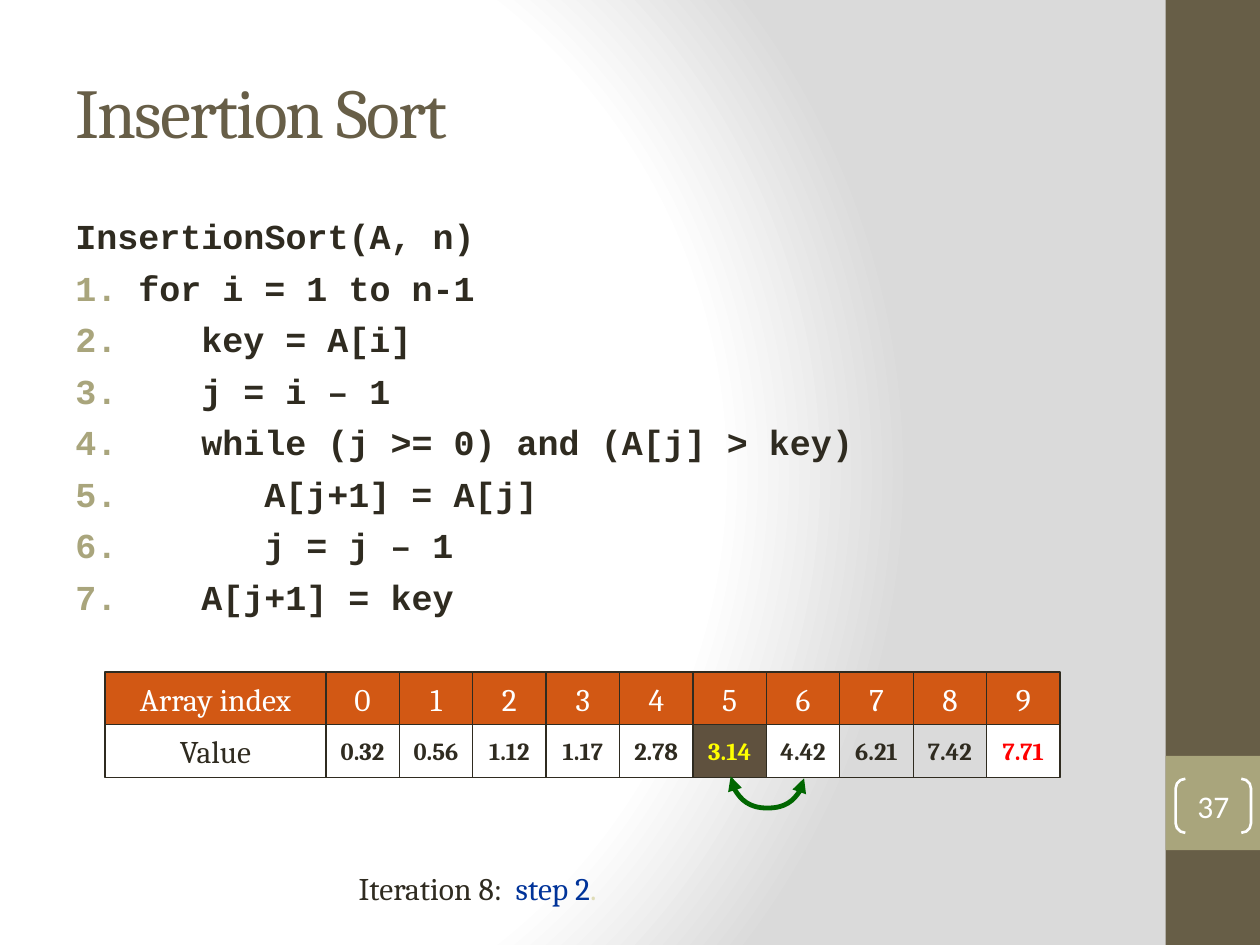
from lxml import etree
from pptx import Presentation
from pptx.dml.color import RGBColor
from pptx.enum.shapes import MSO_CONNECTOR, MSO_SHAPE
from pptx.enum.text import MSO_ANCHOR, PP_ALIGN
from pptx.oxml import parse_xml
from pptx.oxml.ns import nsdecls, qn
from pptx.util import Cm, Pt

RECT, BRACKETS = MSO_SHAPE.RECTANGLE, MSO_SHAPE.DOUBLE_BRACKET
CURVE = MSO_CONNECTOR.CURVE
TOP, MIDDLE = MSO_ANCHOR.TOP, MSO_ANCHOR.MIDDLE
CENTER = PP_ALIGN.CENTER

SERIF, MONO, SANS = "Cambria", "Courier New", "Calibri"
INK, BROWN, OLIVE, WHITE = "2F2B20", "675E47", "A9A57C", "FFFFFF"
ORANGE, DARK, YELLOW, RED = "D25814", "5F513E", "FFFF00", "FF0000"
GREEN, BLUE, PALE = "006600", "003399", "DFDCB7"

CODE = [
    "InsertionSort(A, n)",
    "for i = 1 to n-1",
    "\tkey = A[i]",
    "\tj = i – 1",
    "\twhile (j >= 0) and (A[j] > key)",
    "\t\tA[j+1] = A[j]",
    "\t\tj = j – 1",
    "\tA[j+1] = key",
]
VALUES = ["0.32", "0.56", "1.12", "1.17", "2.78", "3.14", "4.42", "6.21", "7.42", "7.71"]
VALUE_STYLES = {4: (WHITE, INK), 5: (DARK, YELLOW), 6: (WHITE, INK), 9: (WHITE, RED)}
GRID_LEFT, GRID_TOP = 2.12, 13.55
LABEL_W, CELL_W, CELL_H = 4.45, 1.48, 1.06


def rgb(value):
    """Turn a hex string into a colour."""
    return RGBColor.from_string(value)


class Deck:
    """Hold the style and the current slide."""

    def __init__(self):
        """Start a deck with one blank slide."""
        self.prs = Presentation()
        self.prs.slide_width, self.prs.slide_height = Cm(25.4), Cm(19.05)
        self.s = self.prs.slides.add_slide(self.prs.slide_layouts[6])

    def background(self, stops, centre):
        """Fill the slide with a circular gradient."""
        gs = "".join(
            f'<a:gs pos="{pos * 1000}"><a:srgbClr val="{color}"/></a:gs>' for pos, color in stops
        )
        sides = " ".join(f'{side}="{v * 1000}"' for side, v in zip("ltrb", centre))
        bg = parse_xml(
            f'<p:bg {nsdecls("p", "a")}><p:bgPr><a:gradFill rotWithShape="1"><a:gsLst>{gs}</a:gsLst>'
            f'<a:path path="circle"><a:fillToRect {sides}/></a:path></a:gradFill>'
            "<a:effectLst/></p:bgPr></p:bg>"
        )
        self.s.element.cSld.insert(0, bg)

    def style(self, p, colors, size, font, bold=False):
        """Format the runs of a paragraph, one colour each."""
        for r, color in zip(p.runs, colors):
            r.font.size, r.font.name, r.font.bold = Pt(size), font, bold
            r.font.color.rgb = rgb(color)

    def shape(self, kind, x, y, w, h, fill=None, line=None, weight=0.75):
        """Add a preset shape."""
        sp = self.s.shapes.add_shape(kind, Cm(x), Cm(y), Cm(w), Cm(h))
        sp.shadow.inherit = False
        if fill:
            sp.fill.solid()
            sp.fill.fore_color.rgb = rgb(fill)
        else:
            sp.fill.background()
        if line:
            sp.line.color.rgb = rgb(line)
            sp.line.width = Pt(weight)
        else:
            sp.line.fill.background()
        return sp

    def label(self, sp, text, color, size=18, font=SERIF, bold=False):
        """Write one centred line in a shape."""
        tf = sp.text_frame
        tf.word_wrap, tf.vertical_anchor = False, MIDDLE
        tf.text = text
        p = tf.paragraphs[0]
        p.alignment = CENTER
        self.style(p, [color], size, font, bold)

    def cell(self, x, y, w, text, fill, color, size=18, bold=False):
        """Add one cell of the array."""
        sp = self.shape(RECT, x, y, w, CELL_H, fill, INK)
        self.label(sp, text, color, size, bold=bold)

    def text_box(self, x, y, w, h, anchor=TOP):
        """Add a wrapping text box and return its frame."""
        tf = self.s.shapes.add_textbox(Cm(x), Cm(y), Cm(w), Cm(h)).text_frame
        tf.word_wrap, tf.vertical_anchor = True, anchor
        return tf

    def title(self, text):
        """Add the slide title."""
        tf = self.text_box(1.27, 0.64, 21.16, 3.17, MIDDLE)
        tf.text = text
        p = tf.paragraphs[0]
        self.style(p, [BROWN], 40, SERIF)
        p.runs[0]._r.get_or_add_rPr().set("spc", "-100")

    def code(self, lines):
        """Add a heading line followed by numbered code lines."""
        tf = self.text_box(1.27, 4.02, 21.16, 8.68)
        tf.margin_top = Cm(0.31)
        tf.text = "\n".join(lines)
        for i, p in enumerate(tf.paragraphs):
            pPr = p._p.get_or_add_pPr()
            pPr.set("marL", str(Cm(1.27)))
            pPr.set("indent", str(Cm(-1.27)))
            if i:
                clr = etree.SubElement(pPr, qn("a:buClr"))
                etree.SubElement(clr, qn("a:srgbClr"), val=OLIVE)
                etree.SubElement(pPr, qn("a:buAutoNum"), type="arabicPeriod")
                p.space_before = Pt(5.4)
            self.style(p, [INK], 20, MONO, True)

    def caption(self, pieces):
        """Add a line of text in several colours."""
        p = self.text_box(6.98, 17.4, 10.36, 1.02).paragraphs[0]
        for text, _ in pieces:
            p.add_run().text = text
        self.style(p, [color for _, color in pieces], 18, SERIF)

    def swap_arrow(self, x, y, span, rise, bend):
        """Add a curved double arrow hanging below two cells, centred on x and y."""
        c = self.s.shapes.add_connector(
            CURVE, Cm(x + rise / 2), Cm(y - span / 2), Cm(x - rise / 2), Cm(y + span / 2)
        )
        c.line.color.rgb = rgb(GREEN)
        c.line.width = Pt(2.75)
        spPr = c._element.spPr
        spPr.find(qn("a:xfrm")).set("rot", str(270 * 60000))
        guides = spPr.find(qn("a:prstGeom")).find(qn("a:avLst"))
        etree.SubElement(guides, qn("a:gd"), name="adj1", fmla=f"val {bend * 100000}")
        for end in ("a:headEnd", "a:tailEnd"):
            etree.SubElement(spPr.find(qn("a:ln")), qn(end), type="triangle")
        etree.SubElement(spPr, qn("a:effectLst"))


def main():
    """Build the insertion sort slide."""
    deck = Deck()
    deck.background([(0, WHITE), (75, WHITE), (100, "DADADA")], (20, 50, 100, 50))
    deck.shape(RECT, 23.5, 0, 1.9, 19.05, BROWN)
    deck.shape(RECT, 23.5, 15.24, 1.9, 1.9, OLIVE)
    number = deck.shape(BRACKETS, 23.7, 15.7, 1.52, 1.09, line=WHITE, weight=1.5)
    number.adjustments[0] = 0.18
    deck.label(number, "37", WHITE, font=SANS)
    deck.title("Insertion Sort")
    deck.code(CODE)

    value_top = GRID_TOP + CELL_H
    deck.cell(GRID_LEFT, GRID_TOP, LABEL_W, "Array index", ORANGE, WHITE)
    deck.cell(GRID_LEFT, value_top, LABEL_W, "Value", WHITE, INK)
    for i, value in enumerate(VALUES):
        x = GRID_LEFT + LABEL_W + i * CELL_W
        fill, color = VALUE_STYLES.get(i, (None, INK))
        deck.cell(x, GRID_TOP, CELL_W, str(i), ORANGE, WHITE)
        deck.cell(x, value_top, CELL_W, value, fill, color, 14, True)

    deck.swap_arrow(15.47, value_top + CELL_H, CELL_W, 0.04, 16)
    deck.caption([("Iteration 8:  ", INK), ("step 2", BLUE), (".", PALE)])
    deck.prs.save("out.pptx")


if __name__ == "__main__":
    main()
